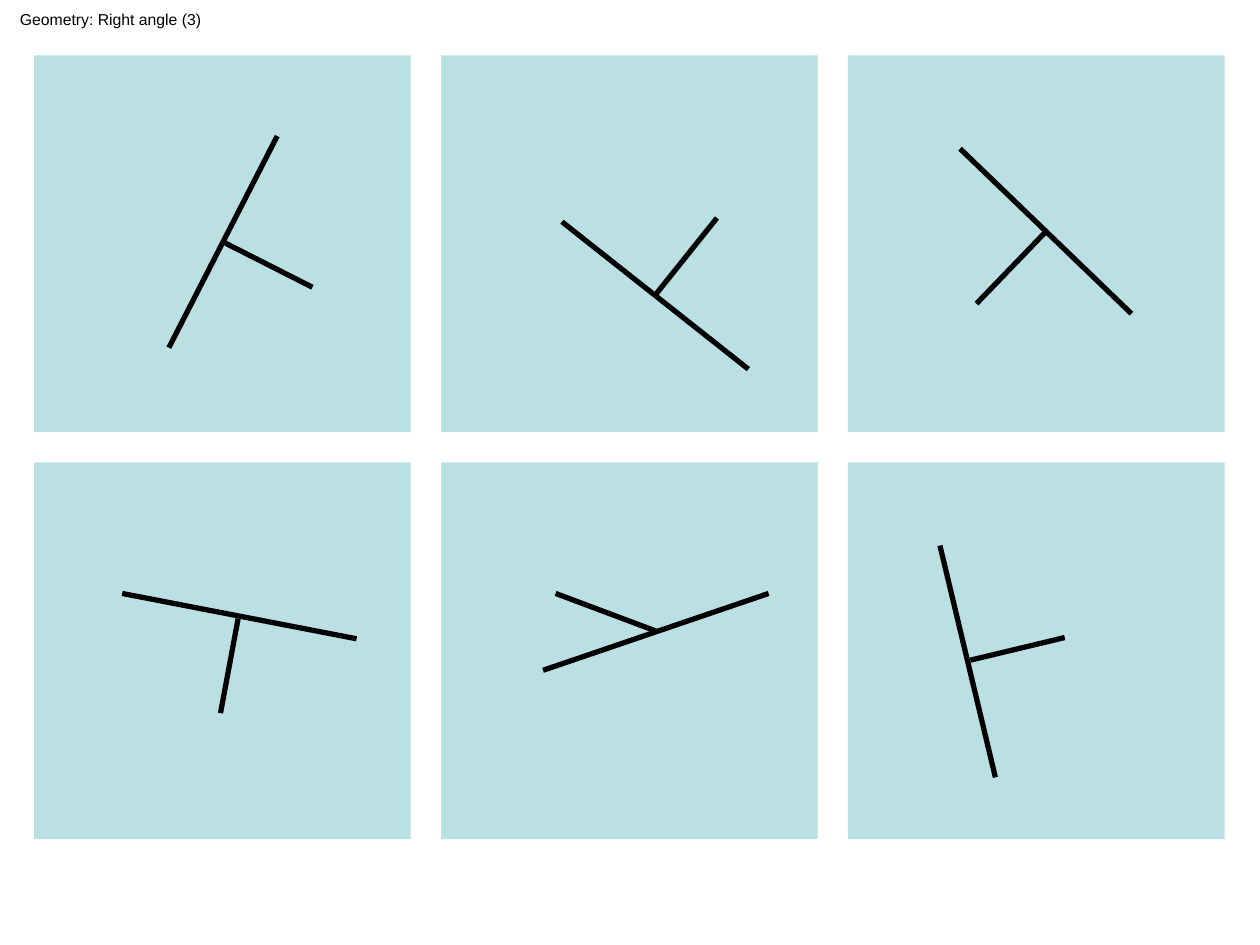
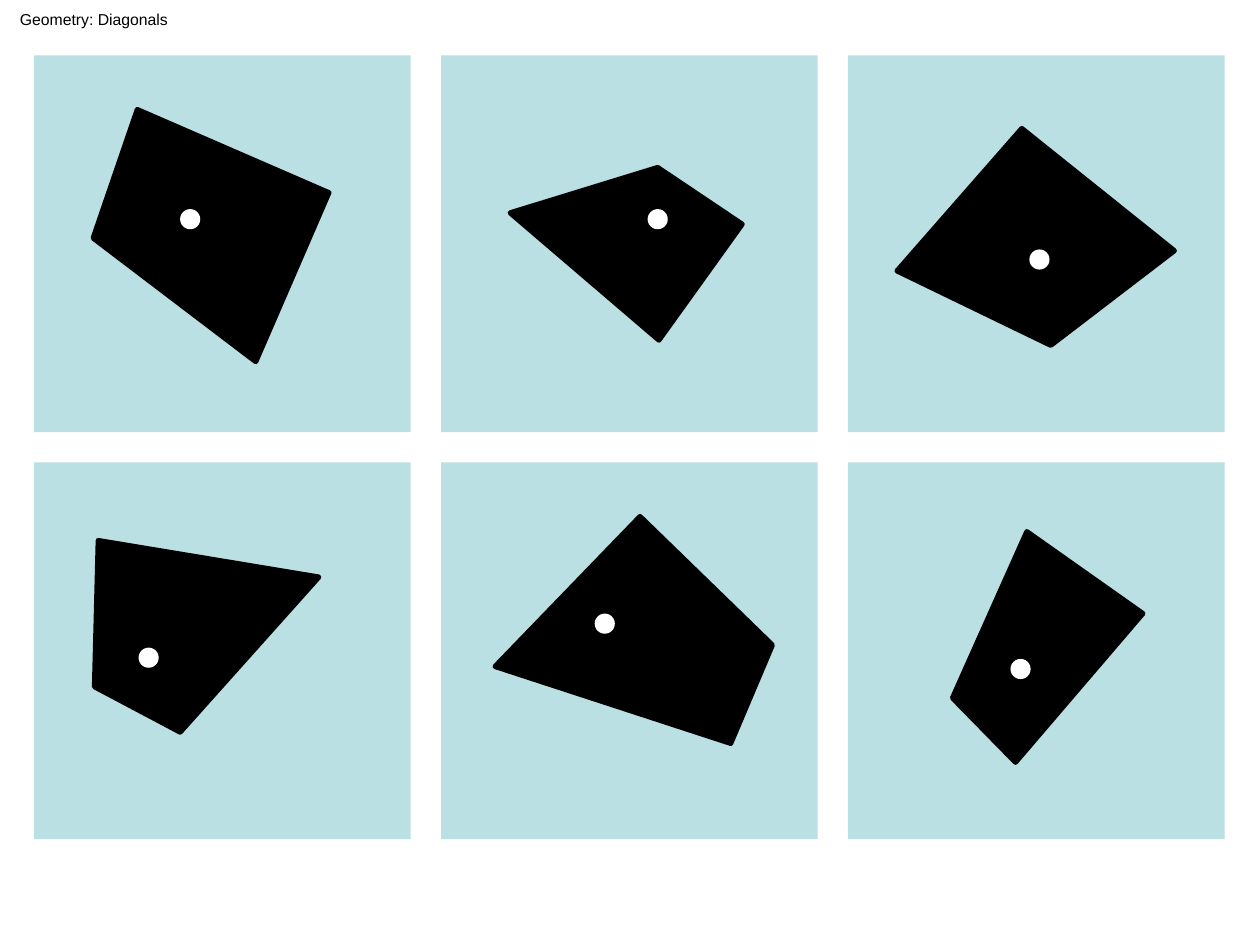
"""Two geometry slides: right angles and diagonals, each on a grid of six panels."""
from lxml import etree
from pptx import Presentation
from pptx.dml.color import RGBColor
from pptx.enum.shapes import MSO_CONNECTOR, MSO_SHAPE
from pptx.enum.text import MSO_AUTO_SIZE
from pptx.oxml.ns import qn
from pptx.util import Inches, Pt

RECTANGLE, OVAL = MSO_SHAPE.RECTANGLE, MSO_SHAPE.OVAL
STRAIGHT = MSO_CONNECTOR.STRAIGHT
FIT_SHAPE = MSO_AUTO_SIZE.SHAPE_TO_FIT_TEXT

COLOURS = {"panel": "BBE0E3", "ink": "000000", "dot": "FFFFFF"}
INK = RGBColor.from_string(COLOURS["ink"])
FONT = "Arial"
COLUMNS, ROWS = 3, 2
GRID_LEFT, GRID_TOP = 0.27, 0.44
STEP, PANEL, DOT = 3.23, 2.99, 0.16
STROKE = Pt(3)

TITLES = [("Geometry: Right angle (3)", 1.64), ("Geometry: Diagonals", 1.4)]
RIGHT_ANGLES = [
    [((1.93, 0.64), (1.07, 2.32)), ((1.52, 1.49), (2.21, 1.84))],
    [((0.96, 1.32), (2.44, 2.49)), ((1.71, 1.89), (2.19, 1.29))],
    [((2.25, 2.05), (0.89, 0.74)), ((1.56, 1.41), (1.02, 1.97))],
    [((2.56, 1.40), (0.70, 1.04)), ((1.62, 1.24), (1.48, 1.99))],
    [((0.81, 1.65), (2.60, 1.04)), ((0.91, 1.04), (1.71, 1.34))],
    [((0.73, 0.66), (1.17, 2.50)), ((0.97, 1.57), (1.72, 1.39))],
]
QUADRILATERALS = [
    ([(0.47, 1.45), (0.82, 0.43), (2.34, 1.09), (1.76, 2.43)], (1.24, 1.30)),
    ([(1.72, 0.89), (2.39, 1.34), (1.73, 2.26), (0.55, 1.25)], (1.72, 1.30)),
    ([(1.61, 2.30), (0.39, 1.71), (1.38, 0.58), (2.59, 1.55)], (1.52, 1.62)),
    ([(2.26, 0.91), (1.16, 2.14), (0.48, 1.78), (0.51, 0.62)], (0.91, 1.55)),
    ([(2.30, 2.23), (0.43, 1.62), (1.58, 0.43), (2.63, 1.45)], (1.30, 1.28)),
    ([(0.83, 1.87), (1.42, 0.55), (2.34, 1.20), (1.33, 2.38)], (1.37, 1.64)),
]


def place(index, point):
    row, column = divmod(index, COLUMNS)
    return (Inches(GRID_LEFT + column * STEP + point[0]),
            Inches(GRID_TOP + row * STEP + point[1]))


def add_plain(page, kind, position, size, colour):
    shape = page.shapes.add_shape(kind, *position, Inches(size), Inches(size))
    shape.shadow.inherit = False
    shape.fill.solid()
    shape.fill.fore_color.rgb = RGBColor.from_string(COLOURS[colour])
    shape.line.fill.background()


deck = Presentation()
deck.slide_width, deck.slide_height = Inches(10), Inches(7.5)
pages = []
for title, width in TITLES:
    page = deck.slides.add_slide(deck.slide_layouts[6])
    pages.append(page)
    for index in range(COLUMNS * ROWS):
        add_plain(page, RECTANGLE, place(index, (0, 0)), PANEL, "panel")
    box = page.shapes.add_textbox(Inches(0.06), Inches(0.03), Inches(width), Inches(0.25))
    box.text_frame.word_wrap = False
    box.text_frame.auto_size = FIT_SHAPE
    para = box.text_frame.paragraphs[0]
    para.text = title
    para.font.name, para.font.size = FONT, Pt(9)
    para.font.color.rgb = INK
angle_page, diagonal_page = pages

for index, lines in enumerate(RIGHT_ANGLES):
    group = angle_page.shapes.add_group_shape()
    for start, end in lines:
        line = group.shapes.add_connector(STRAIGHT, *place(index, start), *place(index, end))
        line.line.color.rgb = INK
        line.line.width = STROKE
        etree.SubElement(line._element.spPr, qn("a:effectLst"))

for index, (corners, crossing) in enumerate(QUADRILATERALS):
    first, *others = [place(index, corner) for corner in corners]
    outline = diagonal_page.shapes.build_freeform(*first)
    outline.add_line_segments(others, close=True)
    quadrilateral = outline.convert_to_shape()
    quadrilateral.shadow.inherit = False
    quadrilateral.fill.solid()
    quadrilateral.fill.fore_color.rgb = INK
    quadrilateral.line.color.rgb = INK
    quadrilateral.line.width = STROKE
    dot_corner = [value - DOT / 2 for value in crossing]
    add_plain(diagonal_page, OVAL, place(index, dot_corner), DOT, "dot")

deck.save("out.pptx")
